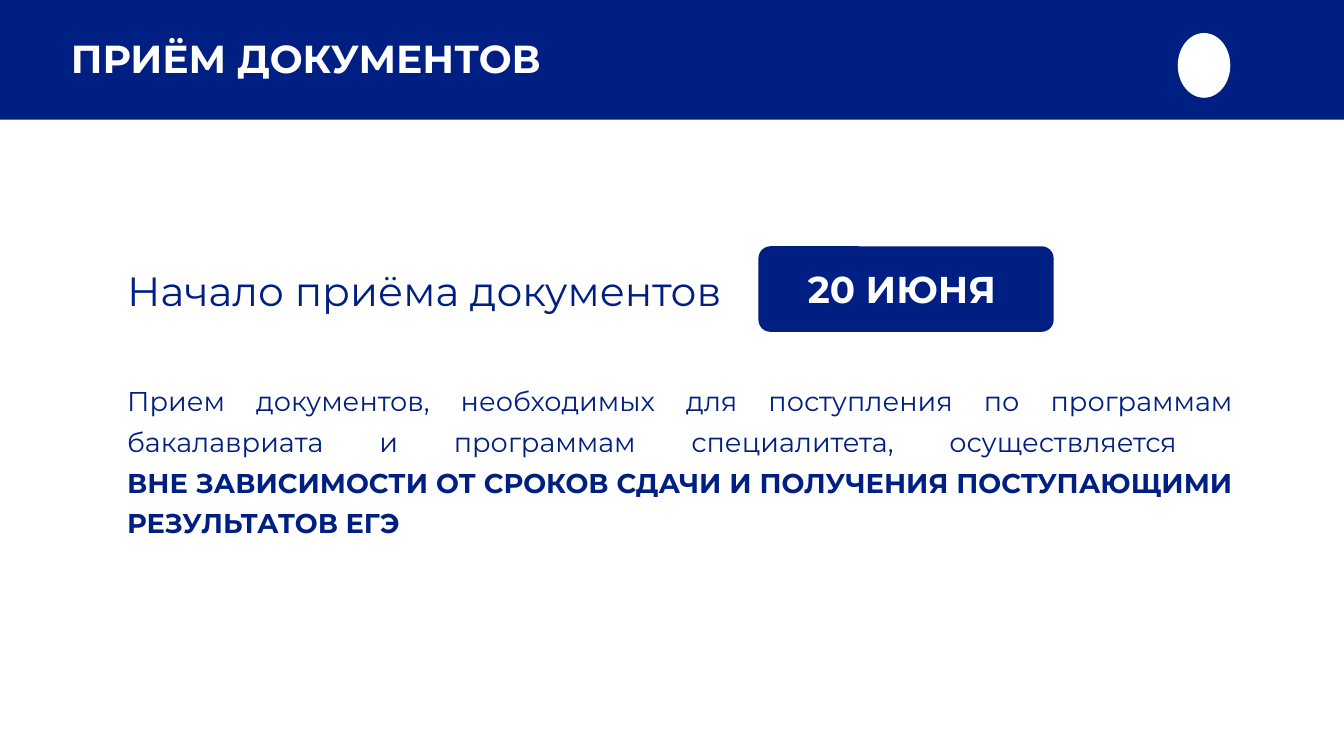
from pptx import Presentation
from pptx.dml.color import RGBColor
from pptx.enum.shapes import MSO_SHAPE
from pptx.enum.text import MSO_ANCHOR, MSO_AUTO_SIZE, PP_ALIGN
from pptx.util import Inches, Pt

RECTANGLE, ROUNDED, OVAL = MSO_SHAPE.RECTANGLE, MSO_SHAPE.ROUNDED_RECTANGLE, MSO_SHAPE.OVAL
TOP, MIDDLE = MSO_ANCHOR.TOP, MSO_ANCHOR.MIDDLE
LEFT, JUSTIFY = PP_ALIGN.LEFT, PP_ALIGN.JUSTIFY
FIXED_SIZE = MSO_AUTO_SIZE.NONE
TITLE_ONLY = 5

FONT = "Montserrat"
NAVY = RGBColor(0x00, 0x1F, 0x82)
WHITE = RGBColor(0xFF, 0xFF, 0xFF)

TITLE = "ПРИЁМ ДОКУМЕНТОВ"
START_LABEL = "Начало приёма документов"
START_DATE = "20 ИЮНЯ"
RULE = (
    "Прием документов, необходимых для поступления по программам "
    "бакалавриата и программам специалитета, осуществляется "
)
RULE_EMPHASIS = (
    "ВНЕ ЗАВИСИМОСТИ ОТ СРОКОВ СДАЧИ И ПОЛУЧЕНИЯ ПОСТУПАЮЩИМИ "
    "РЕЗУЛЬТАТОВ ЕГЭ"
)

SLIDE_WIDTH, SLIDE_HEIGHT = 21.99, 12.37
BAND_HEIGHT = 1.96
CONTENT_LEFT, CONTENT_WIDTH = 2.08, 18.1
DATE_LEFT, DATE_TOP, DATE_WIDTH, DATE_HEIGHT = 12.41, 4.03, 4.83, 1.4
DATE_INDENT = 0.75


def add_filled_shape(slide, kind, left, top, width, height, color):
    shape = slide.shapes.add_shape(
        kind, Inches(left), Inches(top), Inches(width), Inches(height))
    shape.shadow.inherit = False
    shape.fill.solid()
    shape.fill.fore_color.rgb = color
    shape.line.fill.background()
    return shape


def add_text_box(slide, left, top, width, height):
    return slide.shapes.add_textbox(
        Inches(left), Inches(top), Inches(width), Inches(height))


def write_text(shape, *lines, size, color=NAVY, bold=False, align=LEFT,
               anchor=TOP, spacing=1.0, inset=0):
    """Write the lines as one paragraph; a line is a text or a (text, bold) pair."""
    frame = shape.text_frame
    frame.word_wrap = True
    frame.auto_size = FIXED_SIZE
    frame.vertical_anchor = anchor
    frame.margin_left = Inches(inset)
    frame.margin_top = frame.margin_right = frame.margin_bottom = 0
    paragraph = frame.paragraphs[0]
    paragraph.alignment = align
    paragraph.line_spacing = spacing
    for index, line in enumerate(lines):
        text, line_bold = (line, bold) if isinstance(line, str) else line
        if index:
            paragraph.add_line_break()
        run = paragraph.add_run()
        run.text = text
        run.font.name = FONT
        run.font.size = Pt(size)
        run.font.bold = line_bold
        run.font.color.rgb = color


def main():
    presentation = Presentation()
    presentation.slide_width = Inches(SLIDE_WIDTH)
    presentation.slide_height = Inches(SLIDE_HEIGHT)
    slide = presentation.slides.add_slide(presentation.slide_layouts[TITLE_ONLY])

    band = add_filled_shape(slide, RECTANGLE, 0, 0, SLIDE_WIDTH, BAND_HEIGHT, NAVY)
    title = slide.shapes.title
    title.element.addprevious(band.element)  # keeps the band behind the title
    title.left, title.top = Inches(1.16), Inches(0.55)
    title.width, title.height = Inches(9.5), Inches(0.79)
    write_text(title, TITLE, size=46, color=WHITE, bold=True, anchor=MIDDLE)

    add_filled_shape(slide, OVAL, 19.27, 0.54, 0.86, 1.06, WHITE)

    start = add_text_box(slide, CONTENT_LEFT, 4.35, CONTENT_WIDTH, 0.79)
    write_text(start, START_LABEL, size=48)

    date = add_filled_shape(
        slide, ROUNDED, DATE_LEFT, DATE_TOP, DATE_WIDTH, DATE_HEIGHT, NAVY)
    date.adjustments[0] = 0.14
    write_text(date, START_DATE, size=44, color=WHITE, bold=True,
               anchor=MIDDLE, inset=DATE_INDENT)

    rule = add_text_box(slide, CONTENT_LEFT, 6.16, CONTENT_WIDTH, 2.65)
    write_text(rule, RULE, (RULE_EMPHASIS, True), size=32, align=JUSTIFY, spacing=1.25)

    presentation.save("out.pptx")


if __name__ == "__main__":
    main()
